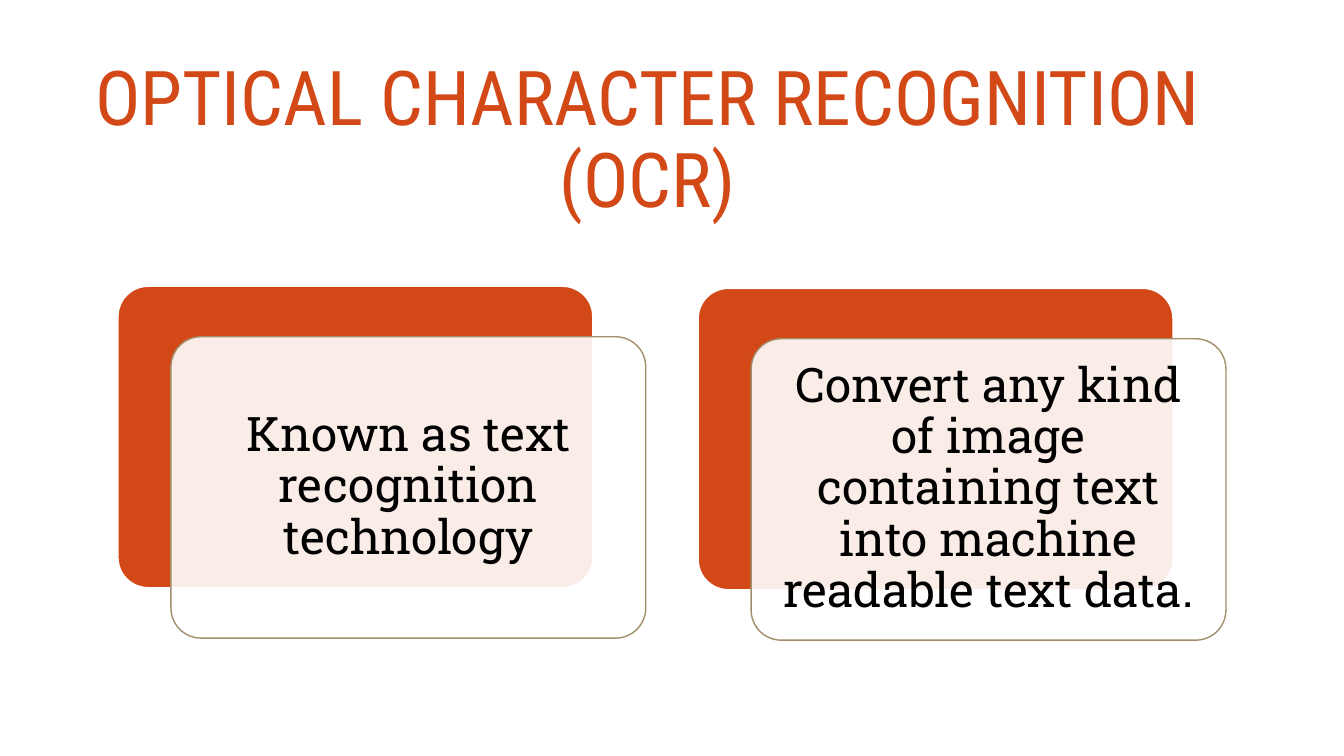
from dataclasses import dataclass

from lxml.etree import SubElement
from pptx import Presentation
from pptx.dml.color import RGBColor
from pptx.enum.shapes import MSO_SHAPE as Preset
from pptx.enum.text import MSO_ANCHOR as Anchor, MSO_AUTO_SIZE as AutoSize, PP_ALIGN as Align
from pptx.oxml.ns import qn
from pptx.shapes.autoshape import Shape
from pptx.slide import Slide
from pptx.text.text import TextFrame
from pptx.util import Inches, Length, Pt


@dataclass(frozen=True)
class Theme:
    accent: RGBColor = RGBColor(0xD3, 0x48, 0x17)
    outline: RGBColor = RGBColor(0xA2, 0x8E, 0x6A)
    white: RGBColor = RGBColor(0xFF, 0xFF, 0xFF)
    black: RGBColor = RGBColor(0, 0, 0)
    title_font: str = "Roboto Condensed"
    body_font: str = "Roboto Slab"
    title_size: Length = Pt(54)
    body_size: Length = Pt(34)


@dataclass(frozen=True)
class Area:
    left: float
    top: float
    width: float
    height: float

    def moved(self, right: float, down: float) -> "Area":
        return Area(self.left + right, self.top + down, self.width, self.height)

    def lengths(self) -> tuple[Length, Length, Length, Length]:
        return (
            Length(int(SLIDE_WIDTH * self.left / 100)),
            Length(int(SLIDE_HEIGHT * self.top / 100)),
            Length(int(SLIDE_WIDTH * self.width / 100)),
            Length(int(SLIDE_HEIGHT * self.height / 100)),
        )


@dataclass(frozen=True)
class Card:
    text: str
    column: int


THEME = Theme()
SLIDE_WIDTH = Inches(13.33)
SLIDE_HEIGHT = Inches(7.5)
TITLE_AREA = Area(5.1, 7.07, 86.2, 23.47)
FIRST_CARD = Area(8.78, 37.87, 35.33, 39.87)
COLUMN_STEP = (43.17, 0.27)
FRONT_OFFSET = (3.94, 6.67)
FRONT_OPACITY = 90
CARDS = (
    Card("Known as text recognition technology", 0),
    Card("Convert any kind of image containing text into machine readable text data.", 1),
)


def write_text(
    text_frame: TextFrame, text: str, font: str, size: Length, color: RGBColor
) -> None:
    text_frame.text = text
    text_frame.word_wrap = True
    text_frame.auto_size = AutoSize.NONE
    text_frame.vertical_anchor = Anchor.MIDDLE
    paragraph = text_frame.paragraphs[0]
    paragraph.alignment = Align.CENTER
    paragraph.line_spacing = 0.9
    for run in paragraph.runs:
        run.font.name = font
        run.font.size = size
        run.font.color.rgb = color


def add_panel(slide: Slide, area: Area, fill: RGBColor, line: RGBColor) -> Shape:
    shape = slide.shapes.add_shape(Preset.ROUNDED_RECTANGLE, *area.lengths())
    shape.adjustments[0] = 0.1
    shape.shadow.inherit = False
    shape.fill.solid()
    shape.fill.fore_color.rgb = fill
    shape.line.color.rgb = line
    shape.line.width = Pt(1)
    return shape


def set_opacity(shape: Shape, percent: int) -> None:
    color = shape.fill._xPr.find(qn("a:solidFill"))[0]
    SubElement(color, qn("a:alpha")).set("val", str(percent * 1000))


def add_card(slide: Slide, card: Card) -> None:
    right, down = COLUMN_STEP
    back = FIRST_CARD.moved(right * card.column, down * card.column)
    add_panel(slide, back, THEME.accent, THEME.white)
    front = add_panel(slide, back.moved(*FRONT_OFFSET), THEME.white, THEME.outline)
    set_opacity(front, FRONT_OPACITY)
    text_frame = front.text_frame
    text_frame.margin_left = text_frame.margin_right = Inches(0.14)
    text_frame.margin_top = text_frame.margin_bottom = Inches(0.14)
    write_text(text_frame, card.text, THEME.body_font, THEME.body_size, THEME.black)


def add_title(slide: Slide, text: str) -> None:
    title = slide.shapes.title
    title.left, title.top, title.width, title.height = TITLE_AREA.lengths()
    write_text(title.text_frame, text, THEME.title_font, THEME.title_size, THEME.accent)


def main() -> None:
    presentation = Presentation()
    presentation.slide_width = SLIDE_WIDTH
    presentation.slide_height = SLIDE_HEIGHT
    slide = presentation.slides.add_slide(presentation.slide_layouts.get_by_name("Title Only"))
    add_title(slide, "OPTICAL CHARACTER RECOGNITION (OCR)")
    for card in CARDS:
        add_card(slide, card)
    presentation.save("out.pptx")


if __name__ == "__main__":
    main()
